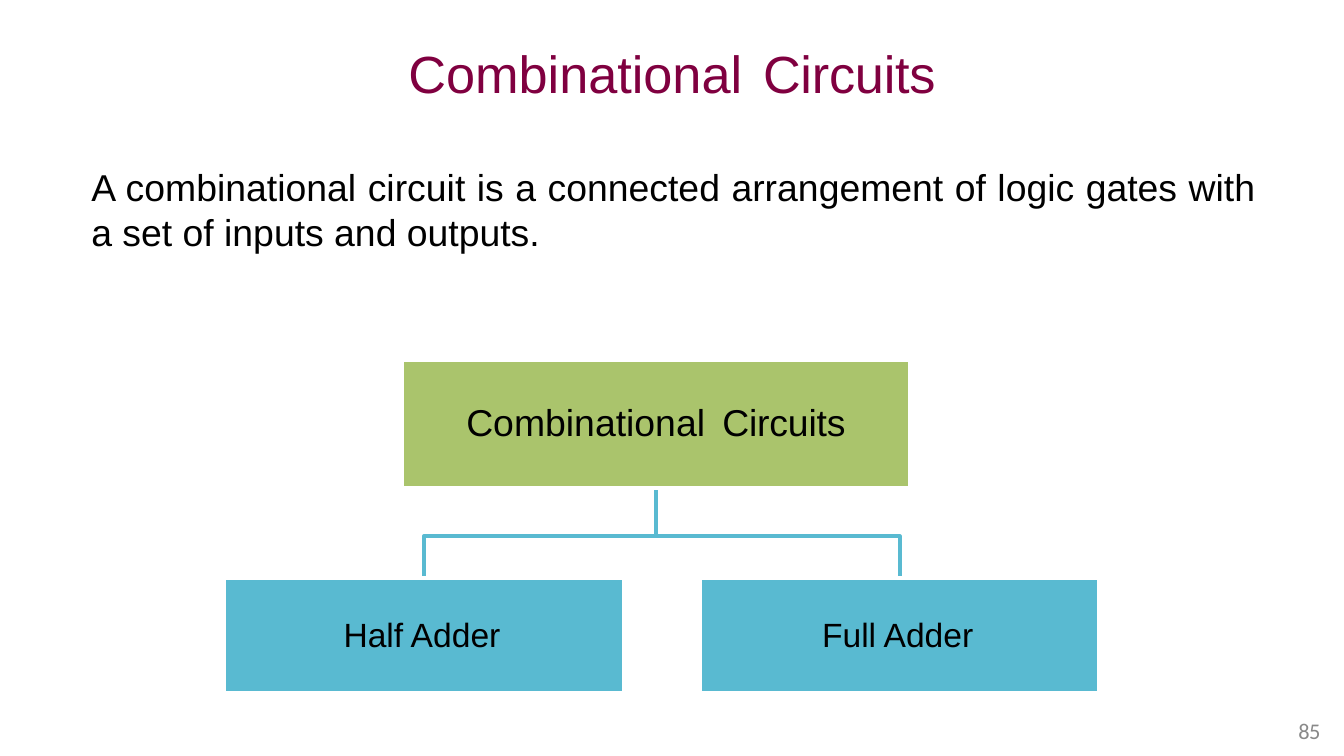
from pptx import Presentation
from pptx import util as u
from pptx.dml.color import RGBColor
from pptx.enum import shapes, text

# Content: each text is a list of (run, letter spacing in points)
HEADING = [("Combinational", 0), (" ", 3.5), ("Circuits", -0.1)]
DEFINITION = [("A combinational circuit is a connected arrangement of logic gates "
               "with a set of inputs and outputs.", 0)]
CHILDREN = [[("Half Adder", 0)], [("Full Adder", 0)]]
PAGE_NUMBER = [("85", -0.2)]

THEME = {
    "title": {"size": 28, "name": "Arial", "color": "800040"},
    "body": {"size": 20, "name": "Arial", "color": "000000"},
    "child": {"size": 18, "name": "Arial", "color": "000000"},
    "page": {"size": 12, "name": "Calibri", "color": "898989"},
    "root_fill": "AAC46C",
    "child_fill": "59BAD1",
    "border": "FFFFFF",
    "line_width": 2,
}

# Layout in inches: left, top, width, height
SLIDE_W = 10
SLIDE_H = SLIDE_W * 9 / 16
TITLE_AREA = (1.07, 0.29, 7.86, 0.49)
BODY_AREA = (0.66, 1.21, 8.76, 0.69)
PAGE_AREA = (9.62, 5.33, 0.27, 0.26)
ROOT = (2.99, 2.68, 3.78, 0.95)
CHILD_LEFT, CHILD_TOP, CHILD_W, CHILD_H = 1.67, 4.3, 2.97, 0.86
CHILD_STEP = 3.54
BEND_Y = 3.99

prs = Presentation()
prs.slide_width, prs.slide_height = u.Inches(SLIDE_W), u.Inches(SLIDE_H)
slide = prs.slides.add_slide(prs.slide_layouts[6])


def inches(values):
    return [u.Inches(v) for v in values]


def write(frame, runs, style, align, anchor, left=0, top=0, right=0, bottom=0):
    settings = {"word_wrap": True, "vertical_anchor": anchor,
                "margin_left": u.Inches(left), "margin_top": u.Inches(top),
                "margin_right": u.Inches(right), "margin_bottom": u.Inches(bottom)}
    for key, value in settings.items():
        setattr(frame, key, value)
    paragraph = frame.paragraphs[0]
    paragraph.alignment = align
    for words, spacing in runs:
        run = paragraph.add_run()
        run.text = words
        for key, value in {"size": u.Pt(style["size"]), "name": style["name"]}.items():
            setattr(run.font, key, value)
        run.font.color.rgb = RGBColor.from_string(style["color"])
        if spacing:
            run._r.get_or_add_rPr().set("spc", str(round(spacing * 100)))


def set_line(shape, color):
    shape.shadow.inherit = False
    shape.line.color.rgb = RGBColor.from_string(color)
    shape.line.width = u.Pt(THEME["line_width"])


def add_text(area, *args, **kwargs):
    write(slide.shapes.add_textbox(*inches(area)).text_frame, *args, **kwargs)


def add_node(area, runs, fill, style, **margins):
    node = slide.shapes.add_shape(shapes.MSO_SHAPE.RECTANGLE, *inches(area))
    node.fill.solid()
    node.fill.fore_color.rgb = RGBColor.from_string(fill)
    set_line(node, THEME["border"])
    write(node.text_frame, runs, style, text.PP_ALIGN.CENTER,
          text.MSO_ANCHOR.MIDDLE, **margins)


def add_branch(child_x):
    root_x, root_bottom = ROOT[0] + ROOT[2] / 2, ROOT[1] + ROOT[3]
    points = [(root_x, root_bottom), (root_x, BEND_Y),
              (child_x, BEND_Y), (child_x, CHILD_TOP)]
    start, *rest = [inches(point) for point in points]
    builder = slide.shapes.build_freeform(*start)
    builder.add_line_segments(rest, close=False)
    branch = builder.convert_to_shape()
    branch.fill.background()
    set_line(branch, THEME["child_fill"])


# Heading and definition
add_text(TITLE_AREA, HEADING, THEME["title"], text.PP_ALIGN.CENTER,
         text.MSO_ANCHOR.BOTTOM, bottom=0.01)
add_text(BODY_AREA, DEFINITION, THEME["body"], text.PP_ALIGN.JUSTIFY,
         text.MSO_ANCHOR.TOP, left=0.02, top=0.01, right=0.07)

# Tree: branches lie behind the boxes
child_lefts = [CHILD_LEFT + i * CHILD_STEP for i in range(len(CHILDREN))]
for left in child_lefts:
    add_branch(left + CHILD_W / 2)
add_node(ROOT, HEADING, THEME["root_fill"], THEME["body"], bottom=0.03)
for left, label in zip(child_lefts, CHILDREN):
    add_node((left, CHILD_TOP, CHILD_W, CHILD_H), label,
             THEME["child_fill"], THEME["child"], right=0.03, bottom=0.02)

# Page number
add_text(PAGE_AREA, PAGE_NUMBER, THEME["page"], text.PP_ALIGN.LEFT,
         text.MSO_ANCHOR.TOP, left=0.04, top=0.01)

prs.save("out.pptx")
